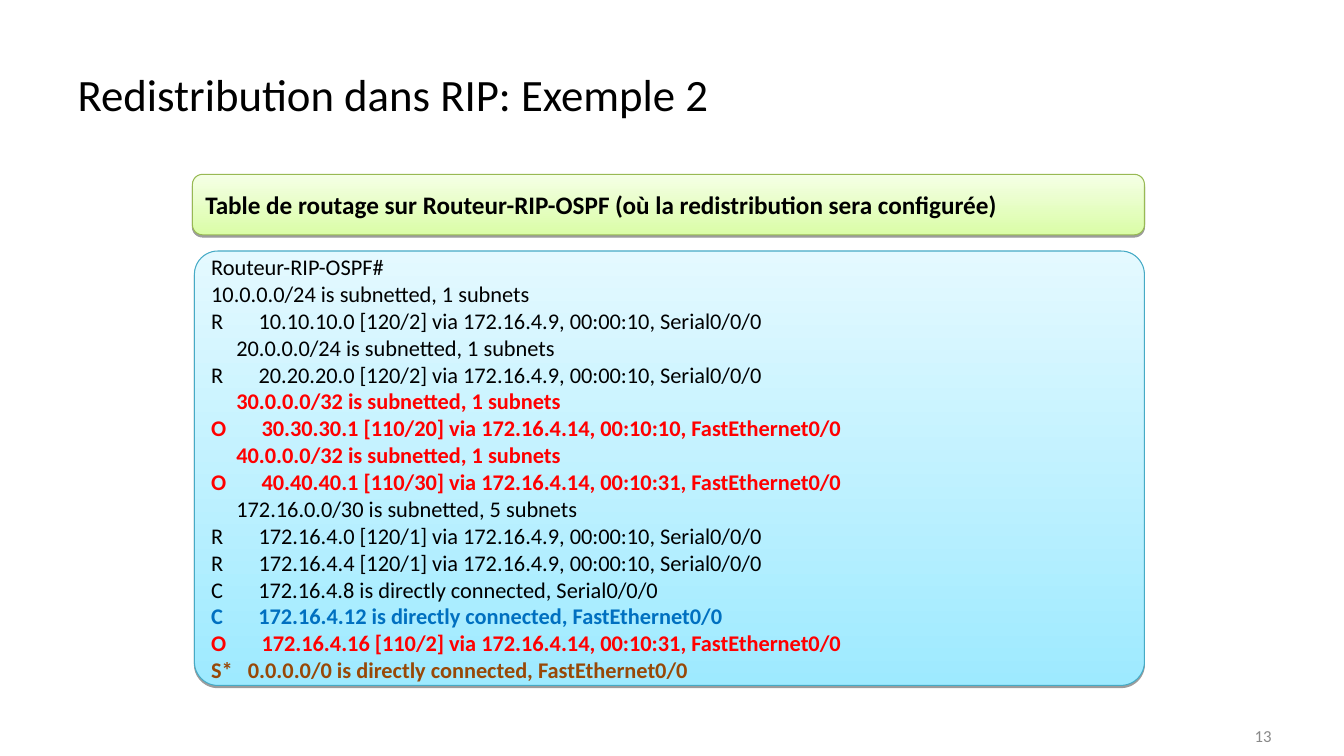
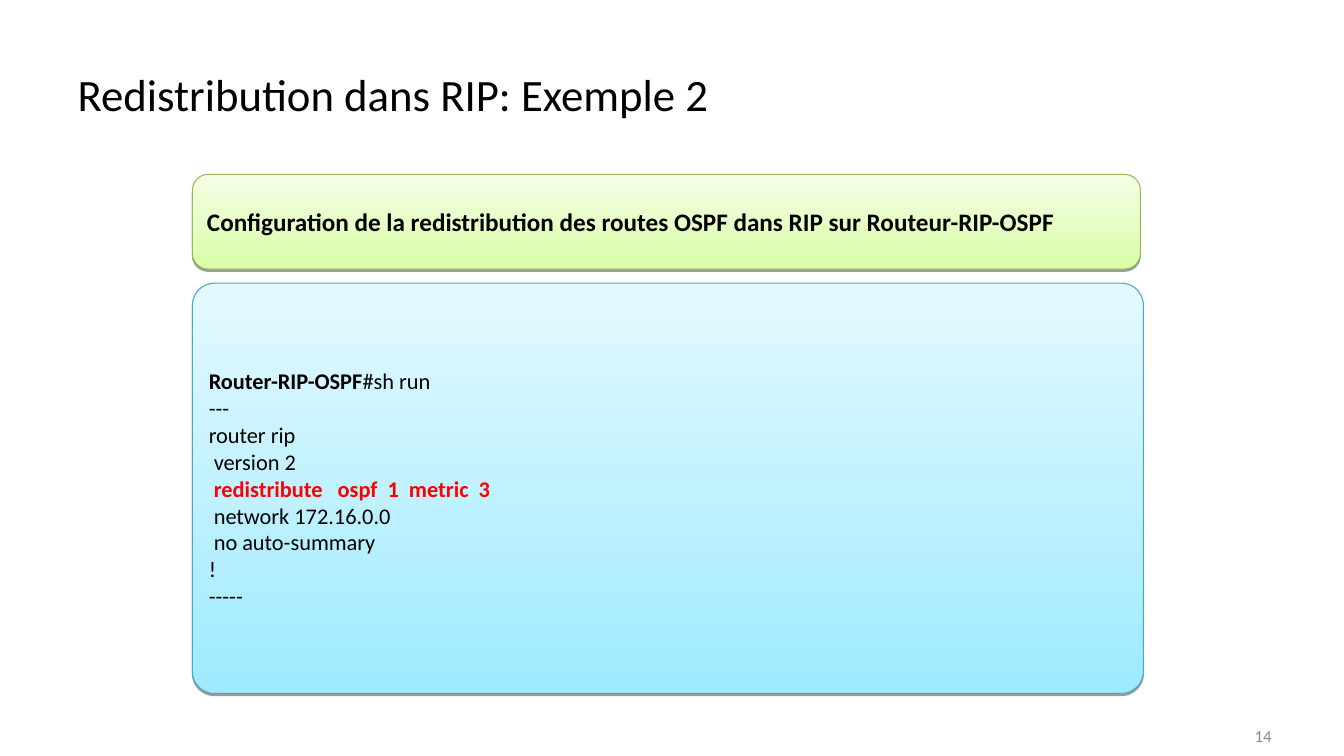
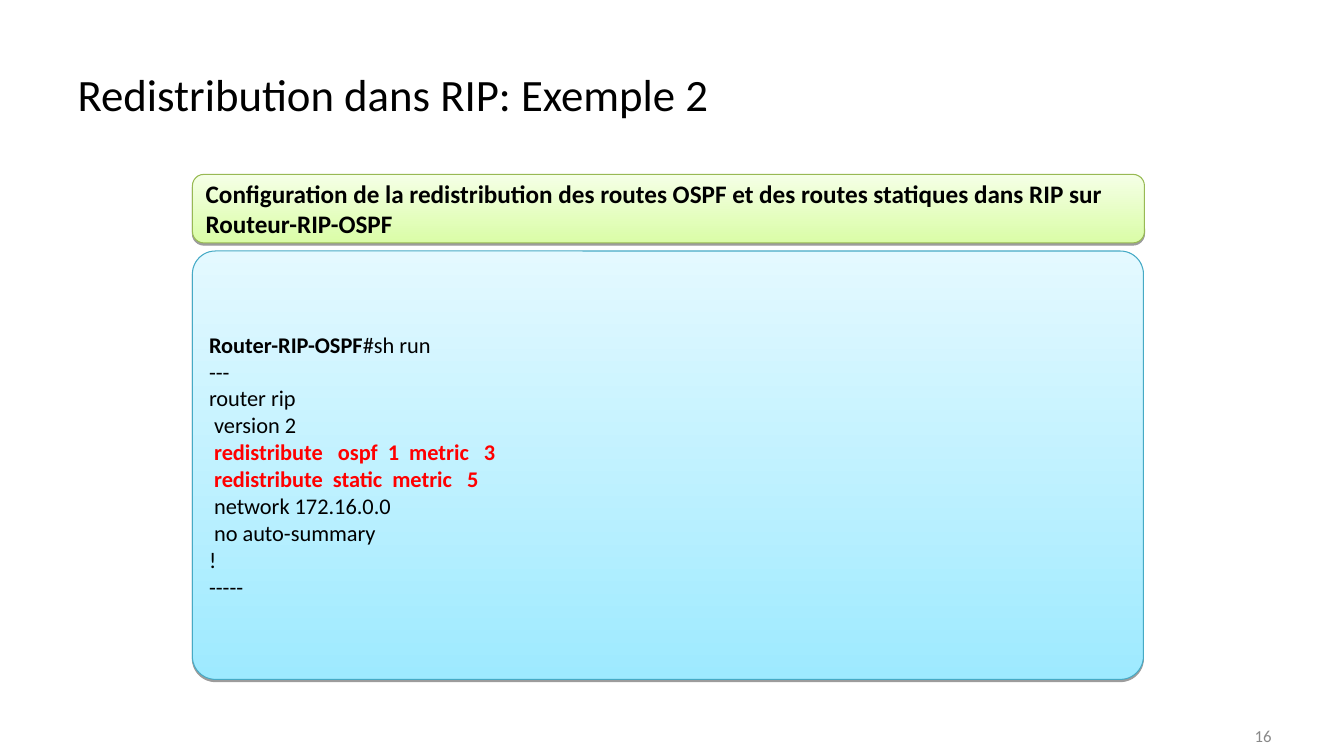
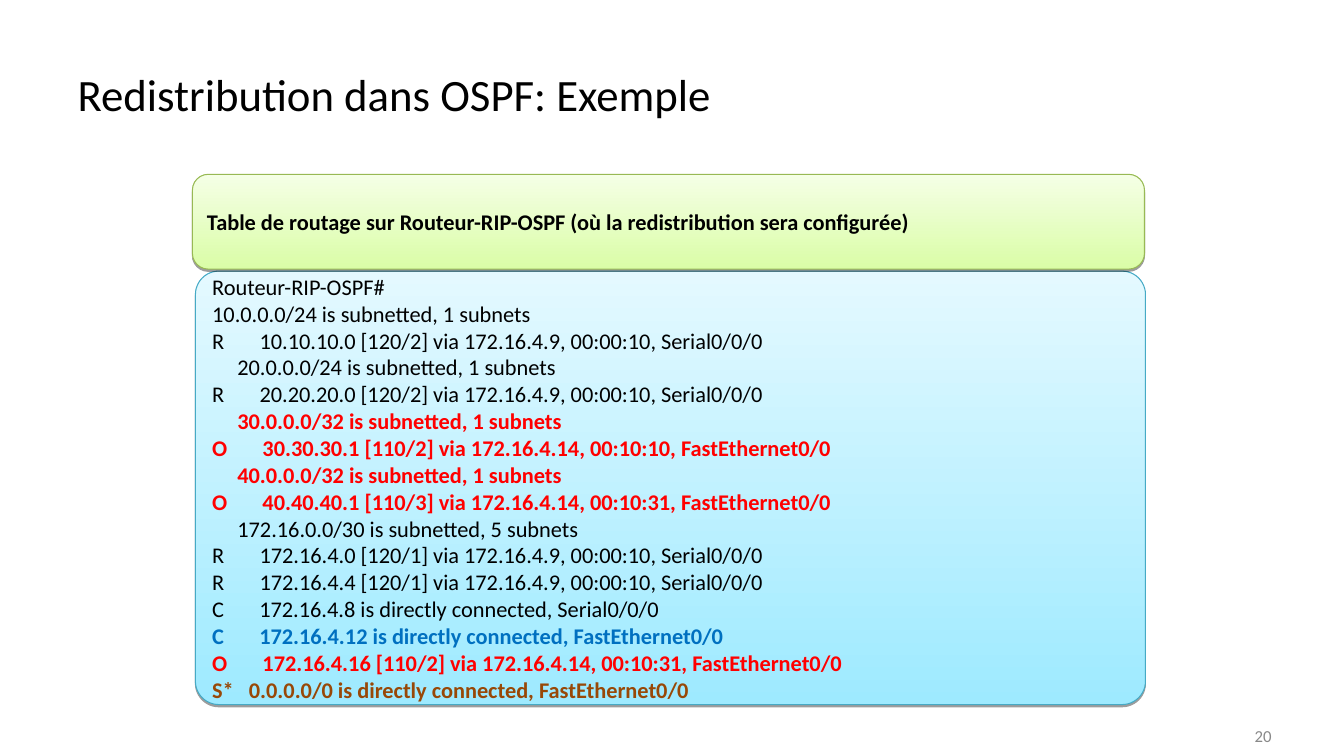
"""Builds four slides on route redistribution between RIP and OSPF."""
from dataclasses import dataclass

from lxml import etree
from pptx import Presentation
from pptx.dml.color import RGBColor
from pptx.enum.shapes import MSO_SHAPE
from pptx.enum.text import MSO_ANCHOR, MSO_AUTO_SIZE, PP_ALIGN
from pptx.oxml.ns import qn
from pptx.util import Emu, Pt

ROUNDED = MSO_SHAPE.ROUNDED_RECTANGLE
MIDDLE = MSO_ANCHOR.MIDDLE
NO_FIT = MSO_AUTO_SIZE.NONE
LEFT, RIGHT = PP_ALIGN.LEFT, PP_ALIGN.RIGHT
EMU_PER_PX = 9144
TITLE_ONLY = 5


@dataclass(frozen=True)
class Panel:
    """Look of one kind of rounded panel."""
    bottom: str
    top: str
    line: str
    corner: float


@dataclass(frozen=True)
class Theme:
    """Colours, type sizes and shared places."""
    font: str = "Calibri"
    ink: str = "000000"
    grey: str = "898989"
    red: str = "FF0000"
    blue: str = "0070C0"
    brown: str = "984807"
    title_size: int = 32
    heading_size: int = 18
    code_size: int = 16
    number_size: int = 12
    title_place: tuple = (67, 30, 1200, 125)
    number_place: tuple = (961, 710, 311, 40)
    heading: Panel = Panel("DAFDA7", "F5FFE6", "98B954", 0.167)
    code: Panel = Panel("9EEAFF", "E4F9FF", "46AAC5", 0.054)


THEME = Theme()


def px(length):
    """Turn whole px into EMU."""
    return Emu(length * EMU_PER_PX)


def set_all(target, values):
    """Set each named attribute of the target."""
    for name, value in values.items():
        setattr(target, name, value)


def place(shape, box):
    """Move and size a shape by left, top, width and height in px."""
    set_all(shape, dict(zip(("left", "top", "width", "height"), map(px, box))))


def plain(text):
    """Give a line of ordinary text."""
    return [(text, THEME.ink, False)]


def strong(text, colour=THEME.ink):
    """Give a line of bold text."""
    return [(text, colour, True)]


def write(shape, lines, size, align=LEFT):
    """Write lines of spans into a shape, centred vertically."""
    frame = shape.text_frame
    set_all(frame, {"word_wrap": True, "auto_size": NO_FIT, "vertical_anchor": MIDDLE})
    for index, line in enumerate(lines):
        para = frame.add_paragraph() if index else frame.paragraphs[0]
        para.alignment = align
        for text, colour, bold in line:
            span = para.add_run()
            span.text = text
            set_all(span.font, {"name": THEME.font, "size": Pt(size), "bold": bold})
            span.font.color.rgb = RGBColor.from_string(colour)


def add_shadow(shape):
    """Give a shape a thin shadow straight below it."""
    shape.shadow.inherit = False
    effects = shape.element.spPr.find(qn("a:effectLst"))
    shadow = etree.SubElement(effects, qn("a:outerShdw"), blurRad="0",
                              dist="20000", dir="5400000", rotWithShape="0")
    colour = etree.SubElement(shadow, qn("a:srgbClr"), val="000000")
    etree.SubElement(colour, qn("a:alpha"), val="38000")


def add_panel(page, box, look, lines, size):
    """Add a rounded gradient panel with text."""
    panel = page.shapes.add_shape(ROUNDED, *map(px, box))
    panel.adjustments[0] = look.corner
    panel.fill.gradient()
    panel.fill.gradient_angle = 90
    for stop, colour in zip(panel.fill.gradient_stops, (look.bottom, look.top)):
        stop.color.rgb = RGBColor.from_string(colour)
    panel.line.color.rgb = RGBColor.from_string(look.line)
    panel.line.width = Pt(0.75)
    add_shadow(panel)
    write(panel, lines, size)


def add_page(deck, title, number):
    """Add a page with its title and number."""
    page = deck.slides.add_slide(deck.slide_layouts[TITLE_ONLY])
    write(page.shapes.title, [plain(title)], THEME.title_size)
    box = page.shapes.add_textbox(*map(px, THEME.number_place))
    write(box, [[(str(number), THEME.grey, False)]], THEME.number_size, RIGHT)
    return page


def routing_table(cost_30, cost_40):
    """Give the routing table with the OSPF costs of two networks."""
    red = THEME.red
    return [
        plain("Routeur-RIP-OSPF#"),
        plain("10.0.0.0/24 is subnetted, 1 subnets"),
        plain("R       10.10.10.0 [120/2] via 172.16.4.9, 00:00:10, Serial0/0/0"),
        plain("     20.0.0.0/24 is subnetted, 1 subnets"),
        plain("R       20.20.20.0 [120/2] via 172.16.4.9, 00:00:10, Serial0/0/0"),
        strong("     30.0.0.0/32 is subnetted, 1 subnets", red),
        strong(f"O       30.30.30.1 [110/{cost_30}] via 172.16.4.14, 00:10:10, FastEthernet0/0", red),
        strong("     40.0.0.0/32 is subnetted, 1 subnets", red),
        strong(f"O       40.40.40.1 [110/{cost_40}] via 172.16.4.14, 00:10:31, FastEthernet0/0", red),
        plain("     172.16.0.0/30 is subnetted, 5 subnets"),
        plain("R       172.16.4.0 [120/1] via 172.16.4.9, 00:00:10, Serial0/0/0"),
        plain("R       172.16.4.4 [120/1] via 172.16.4.9, 00:00:10, Serial0/0/0"),
        plain("C       172.16.4.8 is directly connected, Serial0/0/0"),
        strong("C       172.16.4.12 is directly connected, FastEthernet0/0", THEME.blue),
        strong("O       172.16.4.16 [110/2] via 172.16.4.14, 00:10:31, FastEthernet0/0", red),
        strong("S*   0.0.0.0/0 is directly connected, FastEthernet0/0", THEME.brown),
    ]


def router_config(*commands):
    """Give the router configuration around the redistribute commands."""
    return [
        strong("Router-RIP-OSPF") + plain("#sh run"),
        *map(plain, ("---", "router rip", " version 2")),
        *(strong(command, THEME.red) for command in commands),
        *map(plain, (" network 172.16.0.0", " no auto-summary", "!", "-----")),
    ]


def add_example(deck, title, number, heading, heading_box, code, code_box,
                heading_size=THEME.heading_size):
    """Add a page with a heading panel above a code panel."""
    page = add_page(deck, title, number)
    add_panel(page, code_box, THEME.code, code, THEME.code_size)
    add_panel(page, heading_box, THEME.heading, [strong(heading)], heading_size)


def main():
    """Build and save the deck."""
    deck = Presentation()
    set_all(deck, {"slide_width": px(1334), "slide_height": px(750)})
    place(deck.slide_layouts[TITLE_ONLY].placeholders[0], THEME.title_place)

    rip_title = "Redistribution dans RIP: Exemple 2"
    table_heading = "Table de routage sur Routeur-RIP-OSPF (où la redistribution sera configurée)"
    add_example(deck, rip_title, 13,
                table_heading, (191, 173, 945, 60),
                routing_table(20, 30), (193, 249, 943, 431))
    add_example(deck, rip_title, 14,
                "Configuration de la redistribution des routes OSPF dans RIP sur Routeur-RIP-OSPF",
                (191, 173, 941, 94),
                router_config(" redistribute   ospf  1  metric  3"),
                (191, 281, 944, 407))
    add_example(deck, rip_title, 16,
                "Configuration de la redistribution des routes OSPF et des routes statiques "
                "dans RIP sur Routeur-RIP-OSPF",
                (191, 173, 945, 68),
                router_config(" redistribute   ospf  1  metric   3",
                              " redistribute  static  metric   5"),
                (191, 249, 944, 425))
    add_example(deck, "Redistribution dans OSPF: Exemple", 20,
                table_heading, (191, 173, 945, 94),
                routing_table(2, 3), (194, 269, 943, 430),
                heading_size=THEME.code_size)
    deck.save("out.pptx")


if __name__ == "__main__":
    main()
